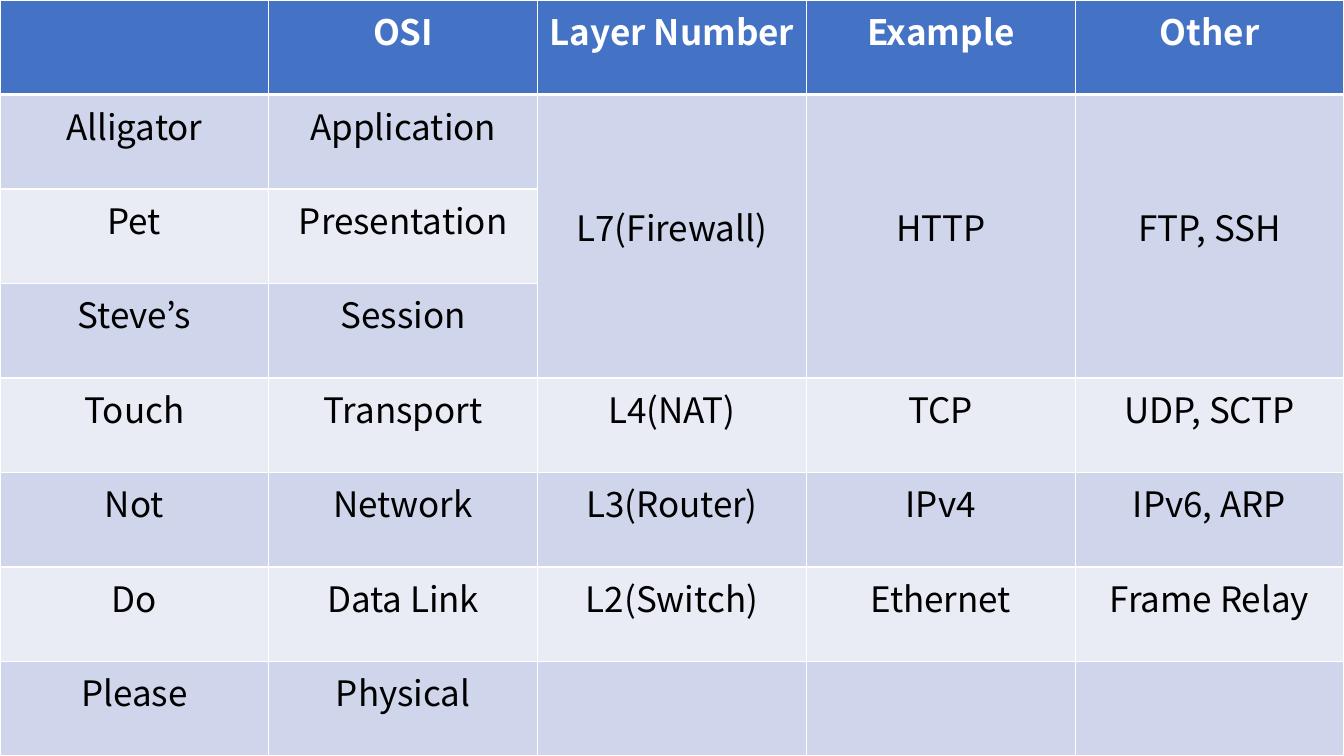
from lxml.etree import SubElement
from pptx import Presentation
from pptx.dml.color import RGBColor
from pptx.enum.text import PP_ALIGN as Align
from pptx.oxml.ns import qn
from pptx.util import Pt

WIDTH, HEIGHT = 960, 540
FONT, FONT_SIZE = "Noto Sans CJK KR", 25
WHITE, BLACK, BLUE = "FFFFFF", "000000", "4472C4"
BANDS = ("CFD5EA", "E9EBF5")
MERGED_ROWS = (1, 3)
MERGED_COLUMNS = (2, 3, 4)
MERGED_TOP_MARGIN = 76

LAYERS = [
    ("", "OSI", "Layer Number", "Example", "Other"),
    ("Alligator", "Application", "L7(Firewall)", "HTTP", "FTP, SSH"),
    ("Pet", "Presentation", "", "", ""),
    ("Steve’s", "Session", "", "", ""),
    ("Touch", "Transport", "L4(NAT)", "TCP", "UDP, SCTP"),
    ("Not", "Network", "L3(Router)", "IPv4", "IPv6, ARP"),
    ("Do", "Data Link", "L2(Switch)", "Ethernet", "Frame Relay"),
    ("Please", "Physical", "", "", ""),
]


def color(hex_string):
    """Turn a hex string into a colour."""
    return RGBColor.from_string(hex_string)


def add_borders(cell, top, bottom):
    """Draw white borders, with the given top and bottom widths."""
    properties = cell._tc.get_or_add_tcPr()
    for side, width in (("L", 1), ("R", 1), ("T", top), ("B", bottom)):
        line = SubElement(properties, qn(f"a:ln{side}"), w=str(Pt(width)))
        fill = SubElement(line, qn("a:solidFill"))
        SubElement(fill, qn("a:srgbClr"), val=WHITE)


def write_cell(cell, text, is_header):
    """Write centred text in the style of a header or body cell."""
    cell.text = text
    paragraph = cell.text_frame.paragraphs[0]
    paragraph.alignment = Align.CENTER
    for run in paragraph.runs:
        run.font.name = FONT
        run.font.size = Pt(FONT_SIZE)
        run.font.bold = is_header
        run.font.color.rgb = color(WHITE if is_header else BLACK)


def style_cell(cell, row):
    """Fill and border a cell according to its row."""
    add_borders(cell, top=3 if row == 1 else 1, bottom=3 if row == 0 else 1)
    cell.fill.solid()
    cell.fill.fore_color.rgb = color(BANDS[(row - 1) % 2] if row else BLUE)


def add_layer_table(slide):
    """Add the full-slide table of OSI layers."""
    table = slide.shapes.add_table(
        len(LAYERS), len(LAYERS[0]), Pt(0), Pt(0), Pt(WIDTH), Pt(HEIGHT)
    ).table
    for row, texts in enumerate(LAYERS):
        table.rows[row].height = Pt(HEIGHT / len(LAYERS))
        for column, text in enumerate(texts):
            cell = table.cell(row, column)
            style_cell(cell, row)
            if text:
                write_cell(cell, text, is_header=row == 0)

    first, last = MERGED_ROWS
    for column in MERGED_COLUMNS:
        cell = table.cell(first, column)
        cell.merge(table.cell(last, column))
        cell.margin_top = Pt(MERGED_TOP_MARGIN)


def main():
    """Build and save the slide."""
    presentation = Presentation()
    presentation.slide_width = Pt(WIDTH)
    presentation.slide_height = Pt(HEIGHT)
    blank_layout = presentation.slide_layouts[6]
    add_layer_table(presentation.slides.add_slide(blank_layout))
    presentation.save("out.pptx")


main()
